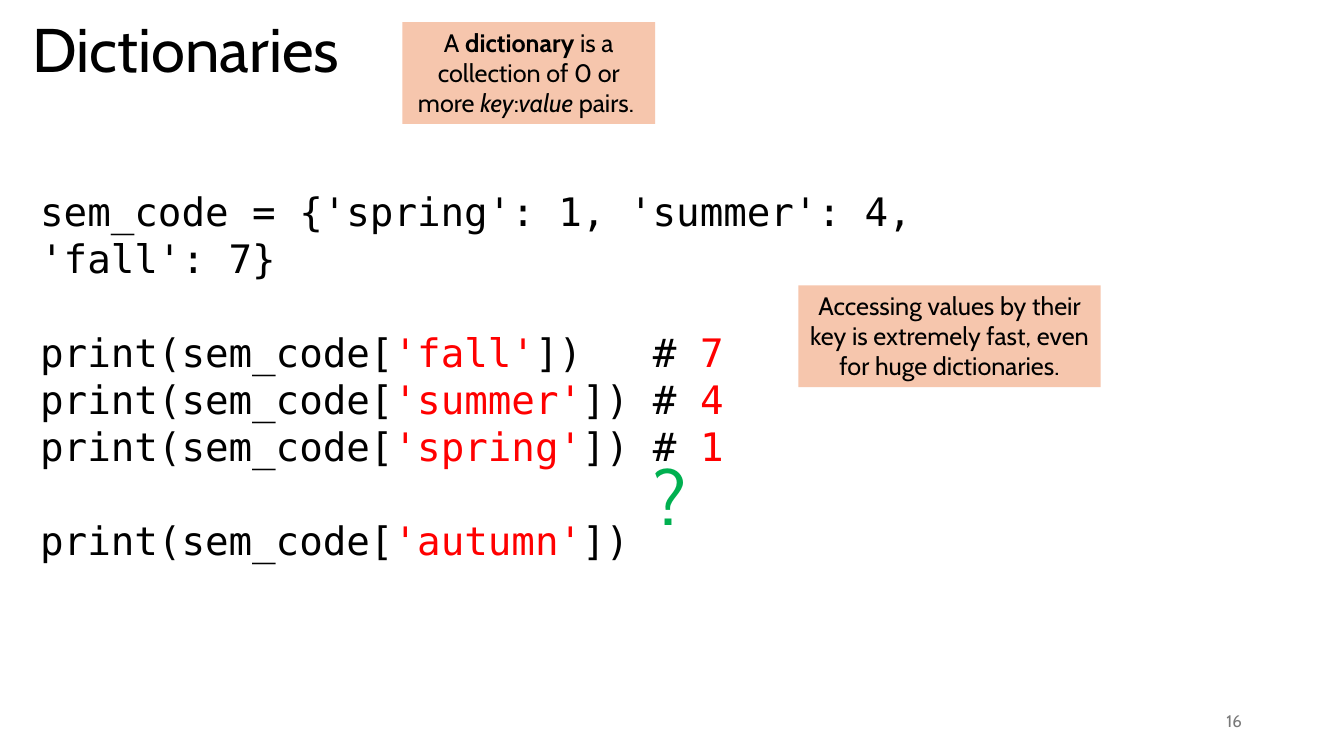
from dataclasses import dataclass

from pptx import Presentation
from pptx.dml.color import RGBColor
from pptx.enum.shapes import MSO_SHAPE
from pptx.enum.text import MSO_ANCHOR, MSO_AUTO_SIZE, PP_ALIGN
from pptx.util import Pt


@dataclass(frozen=True)
class Theme:
    font: str = "Cabin"
    mono: str = "DejaVu Sans Mono"
    ink: str = "000000"
    key: str = "FF0000"
    question: str = "00B050"
    muted: str = "797979"
    note_fill: str = "F6C6AD"
    title_size: int = 44
    question_size: int = 54
    code_size: int = 28
    code_line: float = 33.6
    note_size: int = 18
    number_size: int = 12


THEME = Theme()


def add_run(p, text, size, color=THEME.ink, font=THEME.font, bold=False, italic=False):
    r = p.add_run()
    r.text = text
    r.font.size = Pt(size)
    r.font.name = font
    r.font.bold = bold
    r.font.italic = italic
    r.font.color.rgb = RGBColor.from_string(color)


def add_text_frame(s, box):
    tf = s.shapes.add_textbox(*map(Pt, box)).text_frame
    tf.word_wrap = True
    return tf


def add_title(s, box, text):
    sp = s.shapes.title
    sp.left, sp.top, sp.width, sp.height = map(Pt, box)
    tf = sp.text_frame
    tf.vertical_anchor = MSO_ANCHOR.MIDDLE
    p = tf.paragraphs[0]
    p.alignment = PP_ALIGN.LEFT
    p.line_spacing = 0.9
    add_run(p, text, THEME.title_size)


def add_note(s, box, parts):
    sp = s.shapes.add_shape(MSO_SHAPE.RECTANGLE, *map(Pt, box))
    sp.shadow.inherit = False
    sp.fill.solid()
    sp.fill.fore_color.rgb = RGBColor.from_string(THEME.note_fill)
    sp.line.fill.background()
    tf = sp.text_frame
    tf.word_wrap = True
    tf.auto_size = MSO_AUTO_SIZE.SHAPE_TO_FIT_TEXT
    tf.vertical_anchor = MSO_ANCHOR.TOP
    p = tf.paragraphs[0]
    p.alignment = PP_ALIGN.CENTER
    for text, style in parts:
        add_run(p, text, THEME.note_size, bold=style == "bold", italic=style == "italic")


def add_code(s, box, assignment, lookups):
    tf = add_text_frame(s, box)
    p = tf.paragraphs[0]
    p.line_spacing = Pt(THEME.code_line)
    add_run(p, assignment, THEME.code_size, font=THEME.mono)
    for key, tail, value, gap in lookups:
        p = tf.add_paragraph()
        p.line_spacing = Pt(THEME.code_line)
        p.space_before = Pt(THEME.code_line if gap else 0)
        parts = (("print(sem_code[", THEME.ink), (key, THEME.key),
                 (tail, THEME.ink), (value, THEME.key))
        for text, color in parts:
            if text:
                add_run(p, text, THEME.code_size, color, THEME.mono)


def add_question(s, box):
    tf = add_text_frame(s, box)
    tf.word_wrap = False
    add_run(tf.paragraphs[0], "?", THEME.question_size, THEME.question)


def add_slide_number(s, box, number):
    tf = add_text_frame(s, box)
    tf.vertical_anchor = MSO_ANCHOR.MIDDLE
    p = tf.paragraphs[0]
    p.alignment = PP_ALIGN.RIGHT
    add_run(p, number, THEME.number_size, THEME.muted)


def build_dictionaries(prs):
    s = prs.slides.add_slide(prs.slide_layouts[5])
    add_slide_number(s, (678.24, 500.4, 216, 28.8), "16")
    add_title(s, (15.84, -14.4, 259.92, 104.4), "Dictionaries")
    add_note(s, (287.5, 15.84, 180.5, 72.7), (
        ("A ", ""), ("dictionary", "bold"), (" is a collection of 0 or more ", ""),
        ("key", "italic"), (":", ""), ("value", "italic"), (" pairs. ", "")))
    add_code(s, (21.6, 130.32, 759.6, 278.64),
             "sem_code = {'spring': 1, 'summer': 4, 'fall': 7}",
             (("'fall'", "])   # ", "7", True),
              ("'summer'", "]) # ", "4", False),
              ("'spring'", "]) # ", "1", False),
              ("'autumn'", "])", "", True)))
    add_note(s, (570.24, 203.76, 216, 72.7), (
        ("Accessing values by their key is extremely fast, even for huge dictionaries.", ""),))
    add_question(s, (459.36, 317.52, 41.76, 72.72))


def main():
    prs = Presentation()
    prs.slide_width, prs.slide_height = Pt(960), Pt(540)
    build_dictionaries(prs)
    prs.save("out.pptx")


if __name__ == "__main__":
    main()
